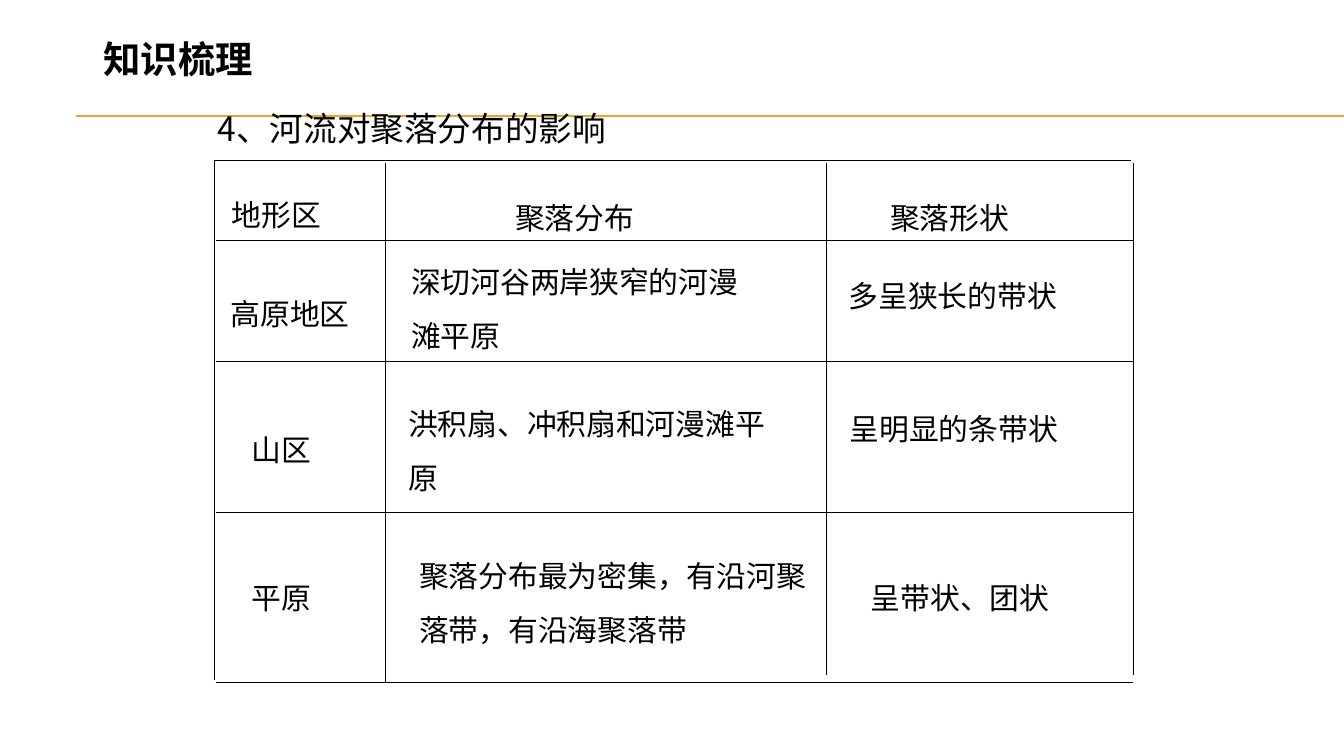
from pptx import Presentation
from pptx.dml.color import RGBColor as Rgb
from pptx.enum.shapes import MSO_CONNECTOR as Conn
from pptx.enum.text import MSO_AUTO_SIZE as Fit, PP_ALIGN as Align
from pptx.oxml.ns import qn
from pptx.util import Inches, Pt
from lxml.etree import SubElement

FONT = "Noto Sans CJK SC"
COLORS = {"ink": "000000", "rule": "F0A22E"}

deck = Presentation()
deck.slide_width, deck.slide_height = Inches(13.33), Inches(7.5)
slide = deck.slides.add_slide(deck.slide_layouts[6])


def write(text, x, y, w, h, size=21.3, bold=False, align=Align.LEFT, gap=1.5):
    box = slide.shapes.add_textbox(Inches(x), Inches(y), Inches(w), Inches(h))
    frame = box.text_frame
    frame.word_wrap = True
    frame.auto_size = Fit.SHAPE_TO_FIT_TEXT
    para = frame.paragraphs[0]
    para.alignment, para.line_spacing = align, gap
    run = para.add_run()
    run.text = text
    font = run.font
    font.name, font.size, font.bold = FONT, Pt(size), bold
    font.color.rgb = Rgb.from_string(COLORS["ink"])
    # East Asian typeface
    SubElement(font._element, qn("a:ea")).set("typeface", FONT)


def draw(x1, y1, x2, y2, color="ink"):
    ends = [Inches(v) for v in (x1, y1, x2, y2)]
    line = slide.shapes.add_connector(Conn.STRAIGHT, *ends)
    line.line.color.rgb = Rgb.from_string(COLORS[color])
    line.line.width = Pt(0.75)
    SubElement(line._element.spPr, qn("a:effectLst"))


# Header rule
for y in (1.15, 1.16):
    draw(0.75, y, 13.33, y, color="rule")

# Cell texts: text, left, top, width, lines
cells = [
    ("地形区", 2.2, 1.73, 1.57, 1),
    ("聚落分布", 5.01, 1.76, 2.13, 1),
    ("聚落形状", 8.73, 1.76, 2.03, 1),
    ("高原地区", 2.19, 2.71, 1.58, 1),
    ("深切河谷两岸狭窄的河漫滩平原", 3.98, 2.39, 3.53, 2),
    ("多呈狭长的带状", 8.32, 2.53, 2.73, 1),
    ("山区", 2.4, 4.06, 1.08, 1),
    ("洪积扇、冲积扇和河漫滩平原", 3.95, 3.8, 3.87, 2),
    ("呈明显的条带状", 8.33, 3.85, 2.62, 1),
    ("平原", 2.4, 5.52, 1.43, 1),
    ("聚落分布最为密集，有沿河聚落带，有沿海聚落带", 4.06, 5.31, 4.09, 2),
    ("呈带状、团状", 8.54, 5.52, 2.85, 1),
]
for text, x, y, w, rows in cells:
    write(text, x, y, w, 0.1 + 0.54 * rows)

# Grid lines
draw(2.13, 1.59, 11.22, 1.59)
for y in (2.39, 3.59, 5.08, 6.77):
    draw(2.14, y, 11.24, y)
for x, top, end in ((2.13, 1.59, 6.75), (3.82, 1.62, 6.77),
                    (8.2, 1.62, 6.7), (11.24, 1.62, 6.7)):
    draw(x, top, x, end)

# Headings
write("4、河流对聚落分布的影响", 2.06, 0.82, 7, 0.71, size=24)
write("知识梳理", 0.52, 0.31, 2.5, 0.55, size=26.7, bold=True,
      align=Align.CENTER, gap=1.0)

deck.save("out.pptx")
